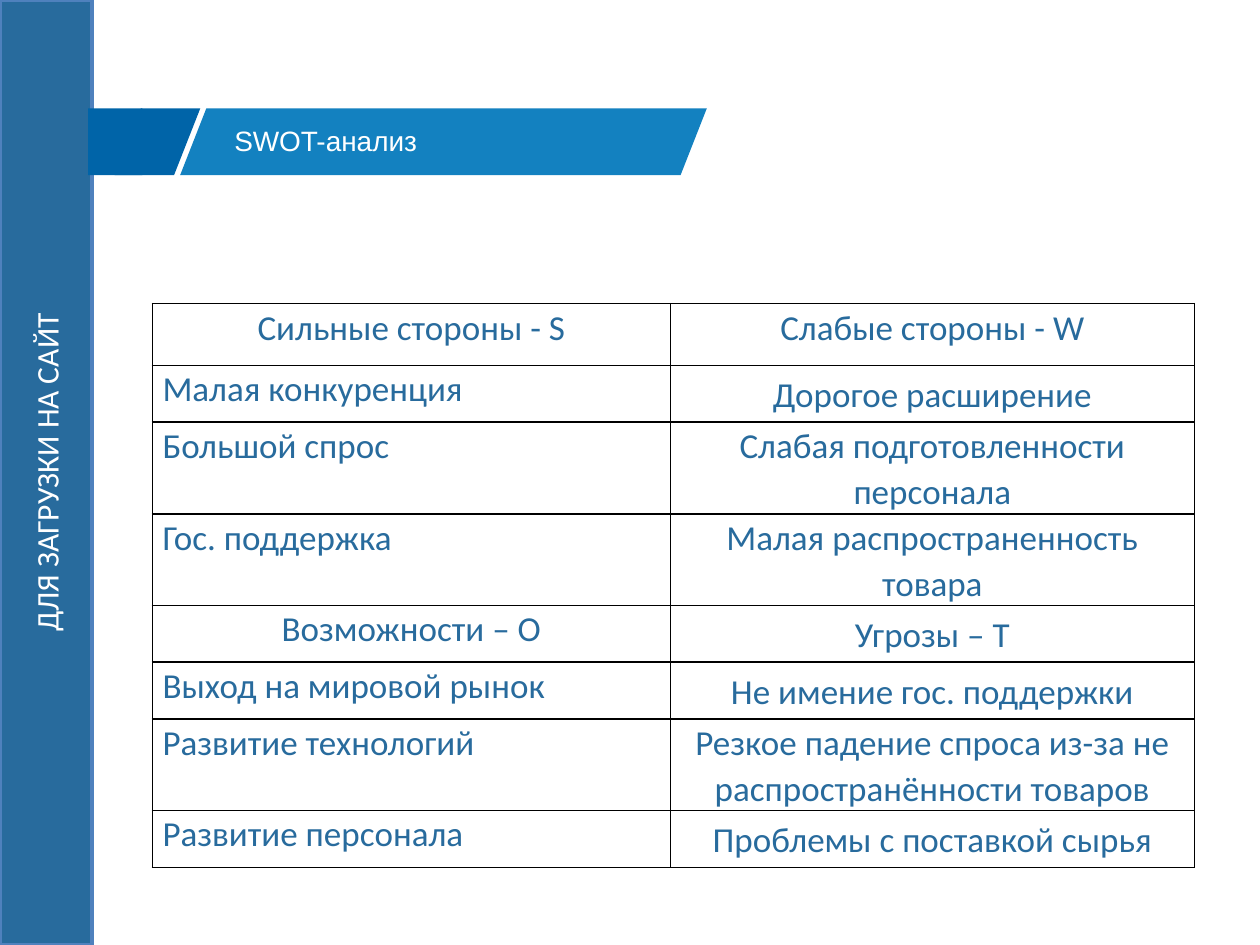
"""Build a SWOT analysis slide with a side band, a title banner and a table."""
from pptx import Presentation
from pptx import util as u
from pptx.dml.color import RGBColor
from pptx.enum import shapes, text
from pptx.oxml import parse_xml
from pptx.oxml.ns import nsdecls

WIDTH, HEIGHT = 10, 7.5
BLUE, NAVY, SKY, EDGE = "286B9D", "0064A8", "1381C0", "4F81BD"
WHITE, BLACK = "FFFFFF", "000000"
BANNER_TOP, BANNER_HEIGHT = 0.86 / HEIGHT, 0.53 / HEIGHT
BAND_WIDTH = 0.73
HEADINGS = (0, 4)
SWOT = [
    ("Сильные стороны - S", "Слабые стороны - W"),
    ("Малая конкуренция", "Дорогое расширение"),
    ("Большой спрос", "Слабая подготовленности персонала"),
    ("Гос. поддержка", "Малая распространенность товара"),
    ("Возможности – O", "Угрозы – T"),
    ("Выход на мировой рынок", "Не имение гос. поддержки"),
    ("Развитие технологий", "Резкое падение спроса из-за не распространённости товаров"),
    ("Развитие персонала", "Проблемы с поставкой сырья"),
]


def color(value):
    """Return the colour for a hex string."""
    return RGBColor.from_string(value)


def box(left, top, width, height):
    """Turn shares of the slide into lengths."""
    return (u.Inches(left * WIDTH), u.Inches(top * HEIGHT),
            u.Inches(width * WIDTH), u.Inches(height * HEIGHT))


def write(tf, words, size=20, font="Calibri", fill=WHITE, center=False, spacing=None):
    """Put one formatted paragraph into a text frame."""
    p = tf.paragraphs[0]
    p.alignment = text.PP_ALIGN.CENTER if center else text.PP_ALIGN.LEFT
    p.line_spacing = spacing
    r = p.add_run()
    r.text = words
    r.font.size, r.font.name = u.Pt(size), font
    r.font.color.rgb = color(fill)


def add_panel(slide, kind, place, fill, slant=None, line=None):
    """Add a filled preset shape without a shadow."""
    sp = slide.shapes.add_shape(kind, *box(*place))
    sp.shadow.inherit = False
    sp.fill.solid()
    sp.fill.fore_color.rgb = color(fill)
    if slant:
        sp.adjustments[0] = slant
    if line:
        sp.line.color.rgb, sp.line.width = color(line), u.Pt(2)
    else:
        sp.line.fill.background()
    return sp


def add_band(slide, words):
    """Add the upright band along the left edge."""
    left = (BAND_WIDTH - HEIGHT) / 2
    place = (left / WIDTH, -left / HEIGHT, HEIGHT / WIDTH, BAND_WIDTH / HEIGHT)
    sp = add_panel(slide, shapes.MSO_SHAPE.RECTANGLE, place, BLUE, line=EDGE)
    sp.rotation = 270
    sp.text_frame.vertical_anchor = text.MSO_ANCHOR.MIDDLE
    write(sp.text_frame, words, size=18, center=True)


def add_banner(slide, words):
    """Add the slanted banner and lay the title over it."""
    rect, slanted = shapes.MSO_SHAPE.RECTANGLE, shapes.MSO_SHAPE.PARALLELOGRAM
    for kind, left, width, fill, slant in (
            (rect, 0.07, 0.043, NAVY, None),
            (slanted, 0.091, 0.068, NAVY, 0.393),
            (slanted, 0.143, 0.418, SKY, 0.393)):
        add_panel(slide, kind, (left, BANNER_TOP, width, BANNER_HEIGHT), fill, slant)
    title = slide.shapes.title
    title.left, title.top, title.width, title.height = box(0.186, BANNER_TOP, 0.332, BANNER_HEIGHT)
    tf = title.text_frame
    tf.margin_left = tf.margin_right = 0
    tf.margin_top, tf.margin_bottom = u.Inches(0.05), u.Inches(0.08)
    tf.vertical_anchor = text.MSO_ANCHOR.MIDDLE
    write(tf, words, size=16, font="Arial")
    slide.shapes._spTree.append(title._element)


def add_borders(cell):
    """Draw thin black lines on all sides of a cell."""
    props = cell._tc.get_or_add_tcPr()
    for index, side in enumerate(("lnL", "lnR", "lnT", "lnB")):
        props.insert(index, parse_xml(
            f'<a:{side} {nsdecls("a")} w="{u.Pt(1)}"><a:solidFill>'
            f'<a:srgbClr val="{BLACK}"/></a:solidFill></a:{side}>'))


def add_swot_table(slide, rows):
    """Add the bordered two-column table."""
    frame = slide.shapes.add_table(len(rows), 2, *box(0.121, 2.41 / HEIGHT, 0.827, 3.64 / HEIGHT))
    table = frame.table
    table.first_row = table.horz_banding = False
    for column, width in zip(table.columns, (4.11, 4.16)):
        column.width = u.Inches(width)
    for i, row in enumerate(rows):
        table.rows[i].height = u.Inches(0.45 if i else 0.49)
        for j, words in enumerate(row):
            cell = table.cell(i, j)
            cell.fill.background()
            cell.margin_left = cell.margin_right = u.Inches(0.08)
            cell.margin_top = cell.margin_bottom = 0
            middle = i > 0 and j == 1
            cell.vertical_anchor = text.MSO_ANCHOR.MIDDLE if middle else text.MSO_ANCHOR.TOP
            write(cell.text_frame, words, fill=BLUE, center=j == 1 or i in HEADINGS, spacing=1.07)
            add_borders(cell)


def main():
    """Build and save the slide."""
    prs = Presentation()
    prs.slide_width, prs.slide_height = u.Inches(WIDTH), u.Inches(HEIGHT)
    slide = prs.slides.add_slide(prs.slide_layouts[5])
    add_swot_table(slide, SWOT)
    add_band(slide, "ДЛЯ ЗАГРУЗКИ НА САЙТ")
    add_banner(slide, "SWOT-анализ")
    prs.save("out.pptx")


main()
